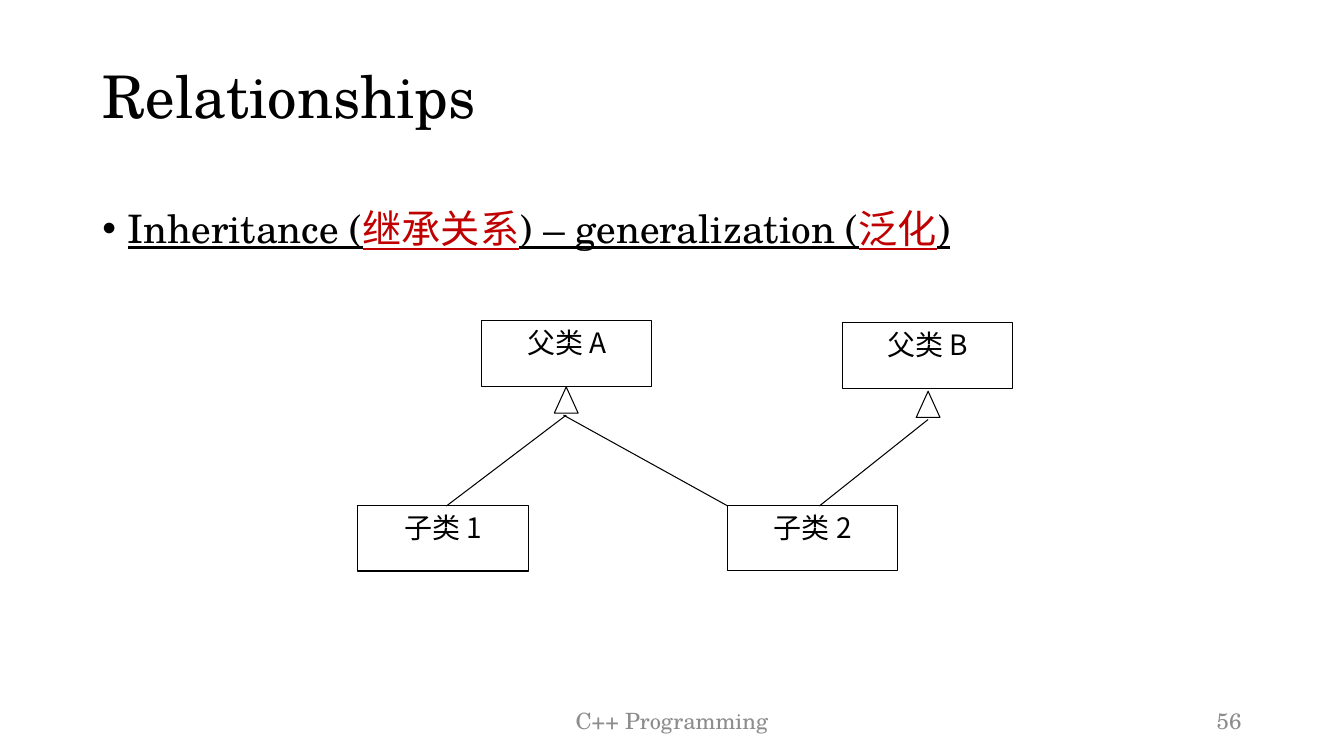
"""Build the slide on inheritance relationships between classes."""
import pptx
import pptx.util
import pptx.dml.color
import pptx.enum.shapes
import pptx.enum.text
import pptx.oxml.ns
import lxml.etree

Cm = pptx.util.Cm
Pt = pptx.util.Pt
RGBColor = pptx.dml.color.RGBColor
Align = pptx.enum.text.PP_ALIGN
Anchor = pptx.enum.text.MSO_ANCHOR
Shape = pptx.enum.shapes.MSO_SHAPE
qn = pptx.oxml.ns.qn

BLACK = RGBColor(0x00, 0x00, 0x00)
RED = RGBColor(0xC0, 0x00, 0x00)
GREY = RGBColor(0x8C, 0x8C, 0x8C)
SERIF = "TeX Gyre Schola"
CHINESE = "Noto Sans CJK SC"


def add_span(para, text, **formats):
    span = para.add_run()
    span.text = text
    color = formats.pop("color", BLACK)
    for name, value in formats.items():
        setattr(span.font, name, value)
    span.font.color.rgb = color
    east_asian = lxml.etree.SubElement(span.font._element, qn("a:ea"))
    east_asian.set("typeface", CHINESE)


def set_frame(box, anchor, align):
    frame = box.text_frame
    settings = {"word_wrap": True, "vertical_anchor": anchor,
                "auto_size": pptx.enum.text.MSO_AUTO_SIZE.NONE}
    for name, value in settings.items():
        setattr(frame, name, value)
    para = frame.paragraphs[0]
    para.alignment = align
    return para


deck = pptx.Presentation()
deck.slide_width, deck.slide_height = Cm(33.87), Cm(19.05)
page = deck.slides.add_slide(deck.slide_layouts[5])

title = page.shapes.title
place = {"left": Cm(2.33), "top": Cm(0.66), "width": Cm(29.21), "height": Cm(3.68)}
for name, value in place.items():
    setattr(title, name, value)
para = set_frame(title, Anchor.MIDDLE, Align.LEFT)
para.line_spacing = 0.9
add_span(para, "Relationships", size=Pt(42), name=SERIF)

body = page.shapes.add_textbox(Cm(2.33), Cm(4.72), Cm(29.21), Cm(12.09))
para = set_frame(body, Anchor.TOP, Align.LEFT)
properties = para._p.get_or_add_pPr()
properties.set("marL", str(Cm(0.64)))
properties.set("indent", str(-Cm(0.64)))
bullet_font = lxml.etree.SubElement(properties, qn("a:buFont"))
bullet_font.set("typeface", "Arial")
bullet = lxml.etree.SubElement(properties, qn("a:buChar"))
bullet.set("char", "•")
para.line_spacing = 1.25
for text, color in [("Inheritance (", BLACK), ("继承关系", RED),
                    (") – generalization (", BLACK), ("泛化", RED), (")", BLACK)]:
    add_span(para, text, size=Pt(28), name=SERIF, underline=True, color=color)

for text, left, width, align in [("C++ Programming", 11.22, 11.43, Align.CENTER),
                                 ("56", 23.92, 7.62, Align.RIGHT)]:
    footer = page.shapes.add_textbox(Cm(left), Cm(17.66), Cm(width), Cm(1.01))
    para = set_frame(footer, Anchor.MIDDLE, align)
    add_span(para, text, size=Pt(16), name=SERIF, color=GREY)

class_boxes = [(12.14, 8.08, "父类 A"), (21.23, 8.13, "父类 B"),
               (9.02, 12.74, "子类 1"), (18.34, 12.73, "子类 2")]
arrow_tips = [(13.97, 9.75, ""), (23.09, 9.86, "")]
for kind, width, height, places in [(Shape.RECTANGLE, 4.29, 1.65, class_boxes),
                                    (Shape.ISOSCELES_TRIANGLE, 0.6, 0.66, arrow_tips)]:
    for left, top, text in places:
        shape = page.shapes.add_shape(kind, Cm(left), Cm(top), Cm(width), Cm(height))
        shape.shadow.inherit = False
        shape.fill.background()
        shape.line.color.rgb = BLACK
        shape.line.width = Pt(0.75)
        if text:
            para = set_frame(shape, Anchor.TOP, Align.CENTER)
            add_span(para, text, size=Pt(20), name=CHINESE)

for ends in [(14.2, 10.46, 18.34, 12.75), (14.27, 10.46, 11.25, 12.75),
             (23.39, 10.57, 20.65, 12.75)]:
    link = page.shapes.add_connector(pptx.enum.shapes.MSO_CONNECTOR.STRAIGHT,
                                     *[Cm(end) for end in ends])
    link.line.color.rgb = BLACK
    link.line.width = Pt(0.75)
    lxml.etree.SubElement(link._element.spPr, qn("a:effectLst"))

deck.save("out.pptx")
